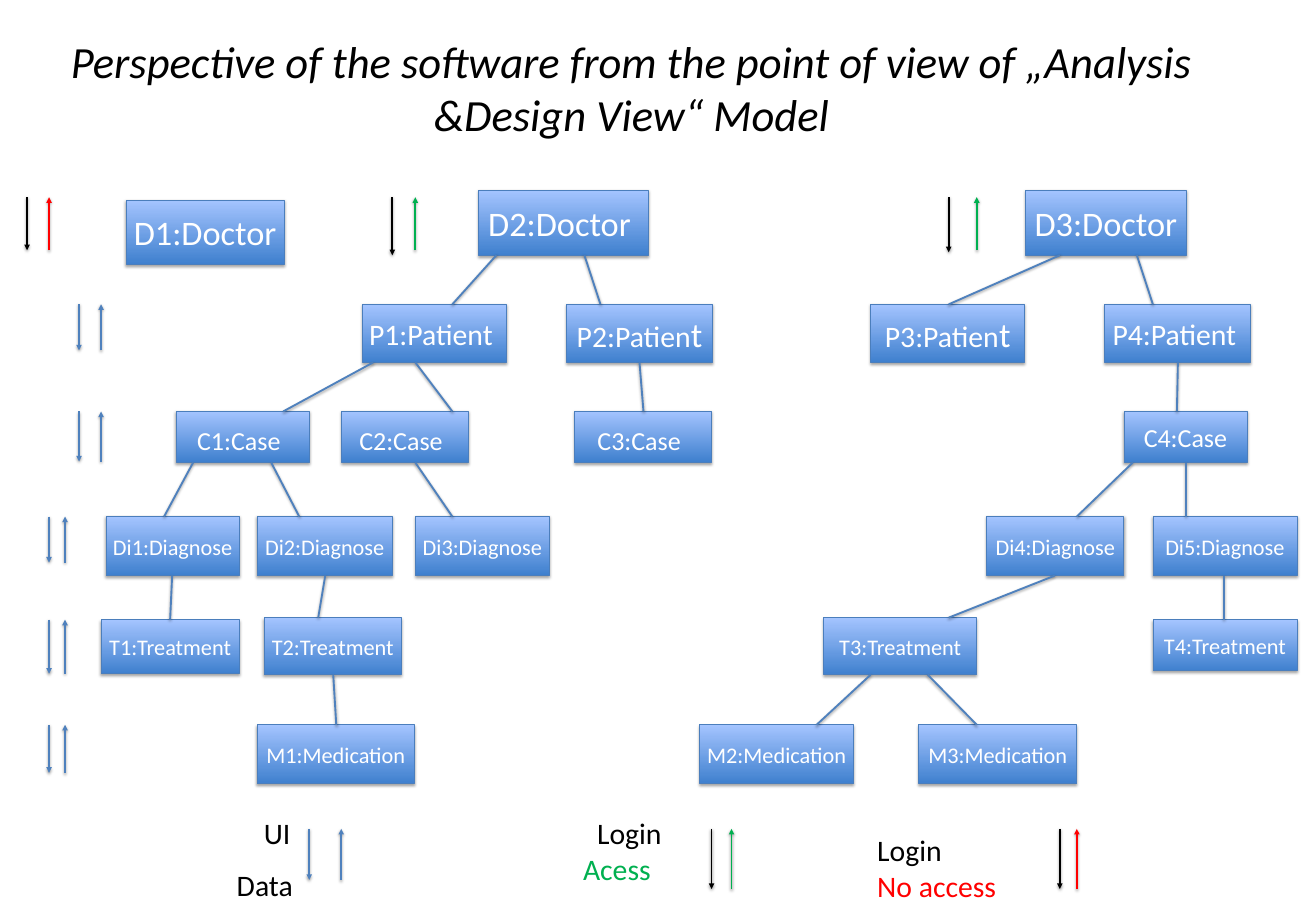
from lxml import etree
from pptx import Presentation
from pptx.dml.color import RGBColor
from pptx.enum.shapes import MSO_CONNECTOR, MSO_SHAPE
from pptx.enum.text import MSO_ANCHOR, MSO_AUTO_SIZE, PP_ALIGN
from pptx.oxml.ns import qn
from pptx.util import Pt

RECTANGLE = MSO_SHAPE.RECTANGLE
STRAIGHT = MSO_CONNECTOR.STRAIGHT
MIDDLE, TOP = MSO_ANCHOR.MIDDLE, MSO_ANCHOR.TOP
CENTER, LEFT = PP_ALIGN.CENTER, PP_ALIGN.LEFT
NO_AUTOFIT = MSO_AUTO_SIZE.NONE

EMU_PER_PIXEL = 914400 / 66.8
FONT = "Calibri"
COLORS = {
    "black": "000000", "white": "FFFFFF", "red": "FF0000", "green": "00B050",
    "link": "4F81BD", "border": "4B7EBC", "box_bottom": "3F80CE", "box_top": "A4C4FF",
}

TITLE = "Perspective of the software from the point of view of „Analysis &Design View“ Model"
TITLE_BOX = (39, 10, 1184, 154)
TREE_BOX = (100, 190, 1197, 593)
LEGEND_BOX = (224, 811, 870, 96)

# top, height, font size, nodes: label, left, width, parent, link start, link end
TIERS = [
    (0, 65, 37, [
        ("D1:Doctor", 26, 158, None, 0, 0),
        ("D2:Doctor ", 378, 170, None, 0, 0),
        ("D3:Doctor ", 925, 160, None, 0, 0)]),
    (114, 58, 32, [
        ("P1:Patient ", 262, 144, "D2", 396, 352),
        ("P2:Patien", 466, 146, "D2", 484, 500),
        ("P3:Patien", 770, 154, "D3", 959, 848),
        ("P4:Patient", 1004, 145, "D3", 1036, 1052)]),
    (221, 51, 28, [
        ("C1:Case", 76, 133, "P1", 273, 183),
        ("C2:Case", 241, 127, "P1", 315, 352),
        ("C3:Case", 474, 137, "P2", 539, 543),
        ("C4:Case", 1023, 123, "P4", 1077, 1076)]),
    (326, 59, 24, [
        ("Di1:Diagnose ", 6, 133, "C1", 93, 64),
        ("Di2:Diagnose ", 157, 135, "C1", 171, 199),
        ("Di3:Diagnose ", 315, 134, "C2", 315, 352),
        ("Di4:Diagnose", 886, 137, "C4", 1032, 976),
        ("Di5:Diagnose", 1052, 144, "C4", 1085, 1085)]),
    (427, 57, 24, [
        ("T1:Treatment ", 1, 138, "Di1", 72, 70),
        ("T2:Treatment", 164, 137, "Di2", 225, 218),
        ("T3:Treatment", 723, 153, "Di4", 954, 848),
        ("T4:Treatment", 1052, 144, "Di5", 1123, 1123)]),
    (534, 59, 24, [
        ("M1:Medication", 157, 157, "T2", 233, 236),
        ("M2:Medication", 599, 154, "T3", 770, 716),
        ("M3:Medication", 818, 158, "T3", 827, 876)]),
]
OWN_HEIGHTS = {"D1": (10, 64), "T1": (429, 54), "T4": (429, 51)}
LABEL_ENDS = {"P2": ("t ", 37), "P3": ("t", 37), "P4": (" ", 28),
              "C1": (" ", 37), "C2": (" ", 37), "C3": (" ", 37)}

TIER_ARROWS = [
    ((27, 197, 22, 53), "black", "red", 0),
    ((392, 197, 23, 53), "black", "green", 5),
    ((948, 197, 28, 53), "black", "green", 2),
    ((79, 304, 22, 46), "link", "link", 0),
    ((79, 411, 22, 50), "link", "link", 0),
    ((49, 516, 16, 46), "link", "link", 0),
    ((49, 619, 16, 54), "link", "link", 0),
    ((49, 724, 16, 48), "link", "link", 0),
]
LEGEND_ARROWS = [
    ((85, 17, 32, 51), "link", "link"),
    ((487, 17, 20, 60), "black", "green"),
    ((835, 17, 17, 60), "black", "red"),
]
LEGEND_TEXTS = [
    ((33, 0, 44, 43), [("UI", "black", 0)]),
    ((6, 52, 76, 43), [("Data", "black", 0)]),
    ((352, 0, 130, 79), [("Login", "black", 14), ("Acess", "green", 0)]),
    ((646, 17, 164, 79), [("Login", "black", 0), ("No access", "red", 0)]),
]


def px(value):
    return round(value * EMU_PER_PIXEL)


def rgb(name):
    return RGBColor.from_string(COLORS[name])


def inside(box, part):
    return (box[0] + part[0], box[1] + part[1], part[2], part[3])


def set_format(target, values):
    for name, value in values.items():
        setattr(target, name, value)


def add_run(paragraph, text, size, color, italic=False):
    run = paragraph.add_run()
    run.text = text
    set_format(run.font, {"name": FONT, "size": Pt(size), "italic": italic})
    run.font.color.rgb = rgb(color)


def add_shadow(shape, opacity, distance):
    properties = shape._element.spPr
    effects = properties.find(qn("a:effectLst"))
    if effects is None:
        effects = etree.SubElement(properties, qn("a:effectLst"))
    shadow = etree.SubElement(effects, qn("a:outerShdw"), blurRad=str(Pt(3.1)),
                              dist=str(Pt(distance)), dir="5400000", rotWithShape="0")
    color = etree.SubElement(shadow, qn("a:srgbClr"), val=COLORS["black"])
    etree.SubElement(color, qn("a:alpha"), val=str(opacity * 1000))


def add_line(slide, start, end, color, arrow=False):
    connector = slide.shapes.add_connector(STRAIGHT, *map(px, (*start, *end)))
    connector.line.width = Pt(2)
    connector.line.color.rgb = rgb(color)
    if arrow:
        etree.SubElement(connector.line._get_or_add_ln(), qn("a:tailEnd"), type="triangle")
    add_shadow(connector, 38, 1.6)


def draw_title(slide, box):
    title = slide.shapes.title
    set_format(title, dict(zip(("left", "top", "width", "height"), map(px, box))))
    frame = title.text_frame
    set_format(frame, {
        "word_wrap": True, "auto_size": NO_AUTOFIT, "vertical_anchor": MIDDLE,
        "margin_left": px(14), "margin_right": px(14),
        "margin_top": px(7), "margin_bottom": px(7)})
    frame.paragraphs[0].alignment = CENTER
    add_run(frame.paragraphs[0], TITLE, 48, "black", italic=True)


def draw_node(slide, box, runs):
    shape = slide.shapes.add_shape(RECTANGLE, *map(px, box))
    shape.fill.gradient()
    shape.fill.gradient_angle = 90
    for stop, color in zip(shape.fill.gradient_stops, ("box_bottom", "box_top")):
        stop.color.rgb = rgb(color)
    shape.line.color.rgb = rgb("border")
    shape.line.width = Pt(0.75)
    shape.shadow.inherit = False
    add_shadow(shape, 35, 1.8)
    set_format(shape.text_frame, {"word_wrap": True, "vertical_anchor": MIDDLE})
    paragraph = shape.text_frame.paragraphs[0]
    paragraph.alignment = CENTER
    for text, size in runs:
        add_run(paragraph, text, size, "white")


def draw_tree(slide, box):
    bottoms = {}
    for tier_top, tier_height, size, nodes in TIERS:
        for label, left, width, parent, start, end in nodes:
            key = label.split(":")[0]
            top, height = OWN_HEIGHTS.get(key, (tier_top, tier_height))
            runs = [(label, size)]
            if key in LABEL_ENDS:
                runs.append(LABEL_ENDS[key])
            draw_node(slide, inside(box, (left, top, width, height)), runs)
            bottoms[key] = top + height
            if parent:
                add_line(slide, (box[0] + start, box[1] + bottoms[parent]),
                         (box[0] + end, box[1] + top), "link")


def draw_arrow_pair(slide, box, down_color, up_color, overshoot=0):
    left, top, width, height = box
    right, bottom = left + width, top + height
    add_line(slide, (left, top), (left, bottom + overshoot), down_color, arrow=True)
    add_line(slide, (right, bottom), (right, top), up_color, arrow=True)


def draw_legend(slide, box):
    for part, lines in LEGEND_TEXTS:
        frame = slide.shapes.add_textbox(*map(px, inside(box, part))).text_frame
        set_format(frame, {"word_wrap": True, "vertical_anchor": TOP})
        for index, (text, color, indent) in enumerate(lines):
            paragraph = frame.add_paragraph() if index else frame.paragraphs[0]
            paragraph.alignment = LEFT
            paragraph._p.get_or_add_pPr().set("marL", str(px(indent)))
            add_run(paragraph, text, 32, color)
    for part, down_color, up_color in LEGEND_ARROWS:
        draw_arrow_pair(slide, inside(box, part), down_color, up_color)


presentation = Presentation()
presentation.slide_width, presentation.slide_height = px(1315), px(920)
slide = presentation.slides.add_slide(presentation.slide_layouts[5])
draw_title(slide, TITLE_BOX)
draw_tree(slide, TREE_BOX)
for arrow_pair in TIER_ARROWS:
    draw_arrow_pair(slide, *arrow_pair)
draw_legend(slide, LEGEND_BOX)
presentation.save("out.pptx")
